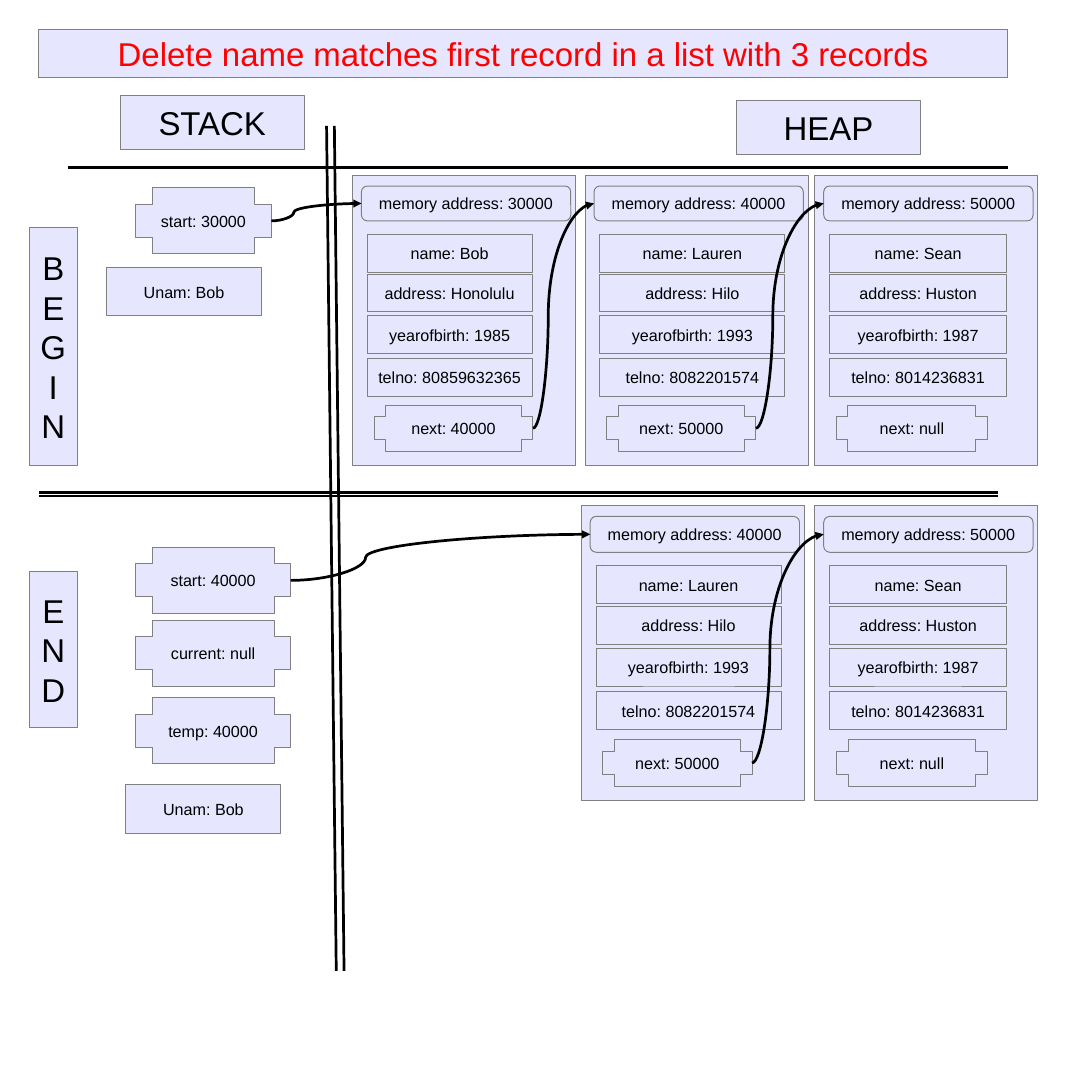
from pptx import Presentation
from pptx.dml.color import RGBColor
from pptx.enum.shapes import MSO_CONNECTOR as LINK, MSO_SHAPE as SHAPE
from pptx.enum.text import MSO_ANCHOR, MSO_AUTO_SIZE, PP_ALIGN
from pptx.oxml.ns import qn
from pptx.util import Pt
from lxml.etree import SubElement

PX = 9144  # 100 px to the inch
COLORS = {"box": "E6E6FF", "border": "808080", "text": "000000",
          "title": "FF0000", "line": "000000"}
RIGHT, LEFT = 3, 1  # connection sites

deck = Presentation()
deck.slide_width, deck.slide_height = 1102 * PX, 1127 * PX
page = deck.slides.add_slide(deck.slide_layouts[5])


def fill_box(box, lines=(), size=12, color="text"):
    box.fill.solid()
    box.fill.fore_color.rgb = RGBColor.from_string(COLORS["box"])
    box.line.color.rgb = RGBColor.from_string(COLORS["border"])
    box.line.width = 0
    frame = box.text_frame
    frame.word_wrap = False
    frame.auto_size = MSO_AUTO_SIZE.NONE
    frame.vertical_anchor = MSO_ANCHOR.MIDDLE
    for index, line in enumerate(lines):
        para = frame.add_paragraph() if index else frame.paragraphs[0]
        para.alignment = PP_ALIGN.CENTER
        span = para.add_run()
        span.text = line
        span.font.name = "Arial"
        span.font.size = Pt(size)
        span.font.color.rgb = RGBColor.from_string(COLORS[color])


def add_box(kind, left, top, width, height, lines=(), size=12):
    box = page.shapes.add_shape(kind, left * PX, top * PX, width * PX, height * PX)
    box.shadow.inherit = False
    fill_box(box, lines, size)
    return box


# Title
title = page.shapes.title
title.left, title.top, title.width, title.height = 40 * PX, 30 * PX, 1000 * PX, 50 * PX
fill_box(title, ["Delete name matches first record in a list with 3 records"], 24.5, "title")

# Area headings and phase labels
for left, top, width, height, lines in [
    (124, 99, 190, 55, ["STACK"]),
    (760, 104, 190, 55, ["HEAP"]),
    (30, 235, 50, 245, "BEGIN"),
    (30, 590, 50, 161, "END"),
]:
    add_box(SHAPE.RECTANGLE, left, top, width, height, lines, 24.5)

# Stack variables
for left, top, text in [(110, 276, "Unam: Bob"), (130, 810, "Unam: Bob")]:
    add_box(SHAPE.RECTANGLE, left, top, 160, 50, [text])
pointers = {}
for top, width, text in [
    (194, 140, "start: 30000"),
    (565, 160, "start: 40000"),
    (640, 160, "current: null"),
    (720, 160, "temp: 40000"),
]:
    pointers[text] = add_box(SHAPE.CROSS, 140, top, width, 68, [text])

# Heap records: address, next, field width, next width, name, address, birth, phone
BOB = ("30000", "40000", 170, 164, "Bob", "Honolulu", "1985", "80859632365")
LAUREN = ("40000", "50000", 191, 154, "Lauren", "Hilo", "1993", "8082201574")
SEAN = ("50000", "null", 183, 156, "Sean", "Huston", "1987", "8014236831")
FIELDS = ["name", "address", "yearofbirth", "telno"]
FIELD_TOPS = [61, 102, 145, 189]
BASE_HEIGHT = 299

links = []
for start, top, height, records in [
    ("start: 30000", 181, 299, [(364, BOB), (604, LAUREN), (841, SEAN)]),
    ("start: 40000", 522, 304, [(600, LAUREN), (841, SEAN)]),
]:
    stretch = height / BASE_HEIGHT
    source = pointers[start]
    for left, (address, following, field_width, next_width, *values) in records:
        add_box(SHAPE.RECTANGLE, left, top, 230, height)
        header = add_box(SHAPE.ROUNDED_RECTANGLE, left + 9, top + round(11 * stretch),
                         216, round(36 * stretch), [f"memory address: {address}"])
        for field, value, offset in zip(FIELDS, values, FIELD_TOPS):
            add_box(SHAPE.RECTANGLE, left + 15, top + round(offset * stretch),
                    field_width, 39, [f"{field}: {value}"])
        links.append((source, header))
        source = add_box(SHAPE.CROSS, left + 22, top + round(237 * stretch),
                         next_width, round(48 * stretch), [f"next: {following}"])

# Divider lines, then curved arrows
lines = [page.shapes.add_connector(LINK.STRAIGHT, *(value * PX for value in ends))
         for ends in [(70, 173, 1040, 173), (40, 508, 1030, 508), (40, 512, 1030, 512),
                      (337, 130, 347, 1002), (345, 130, 355, 1002)]]
for source, header in links:
    arrow = page.shapes.add_connector(LINK.CURVE, 0, 0, 0, 0)
    arrow.begin_connect(source, RIGHT)
    arrow.end_connect(header, LEFT)
    guides = arrow._element.spPr.find(qn("a:prstGeom")).get_or_add_avLst()
    SubElement(guides, qn("a:gd"), name="adj1", fmla="val 25000")
    SubElement(arrow.line._get_or_add_ln(), qn("a:tailEnd"), type="triangle")
    lines.append(arrow)
for line in lines:
    line.line.color.rgb = RGBColor.from_string(COLORS["line"])
    line.line.width = 0
    SubElement(line._element.spPr, qn("a:effectLst"))

deck.save("out.pptx")
